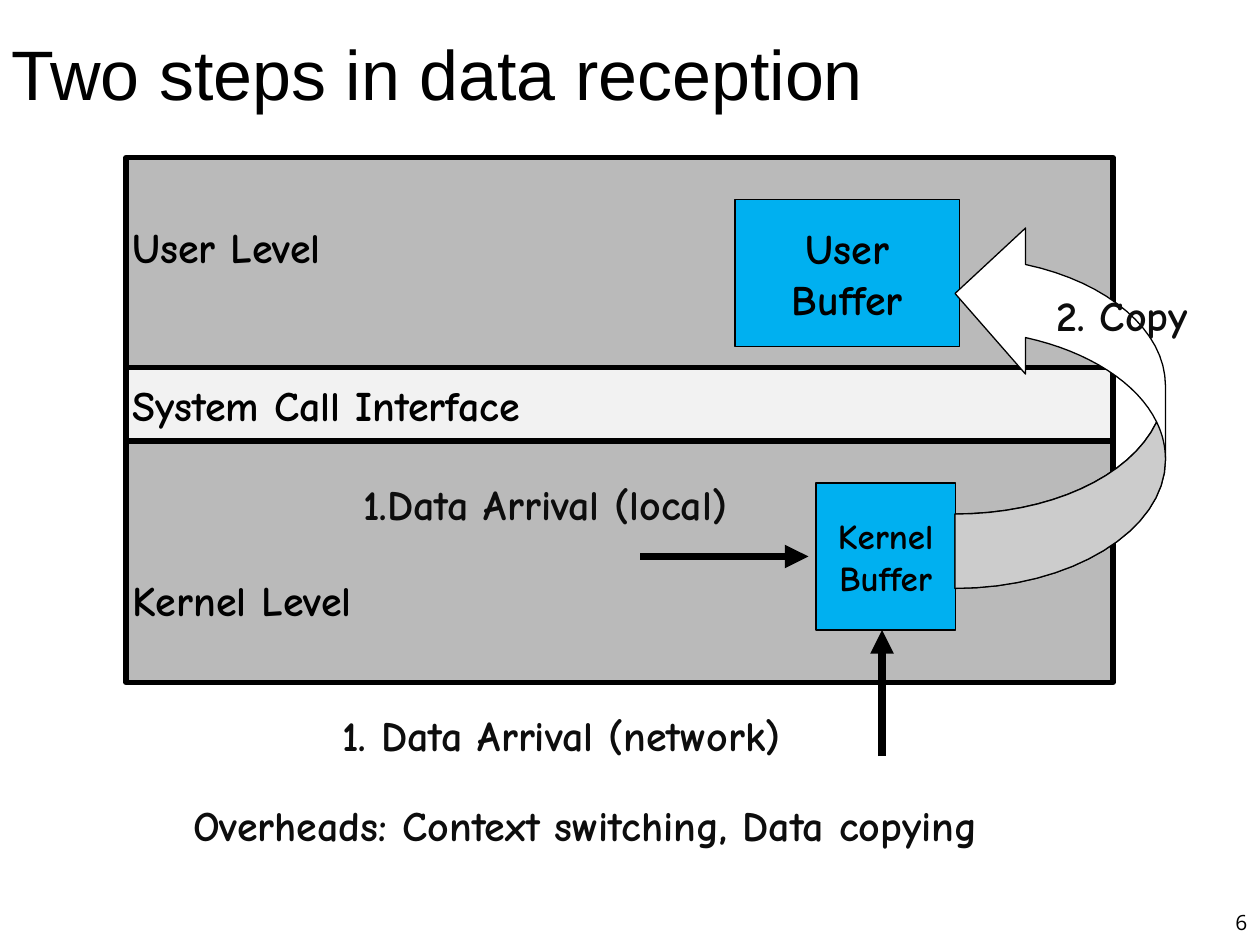
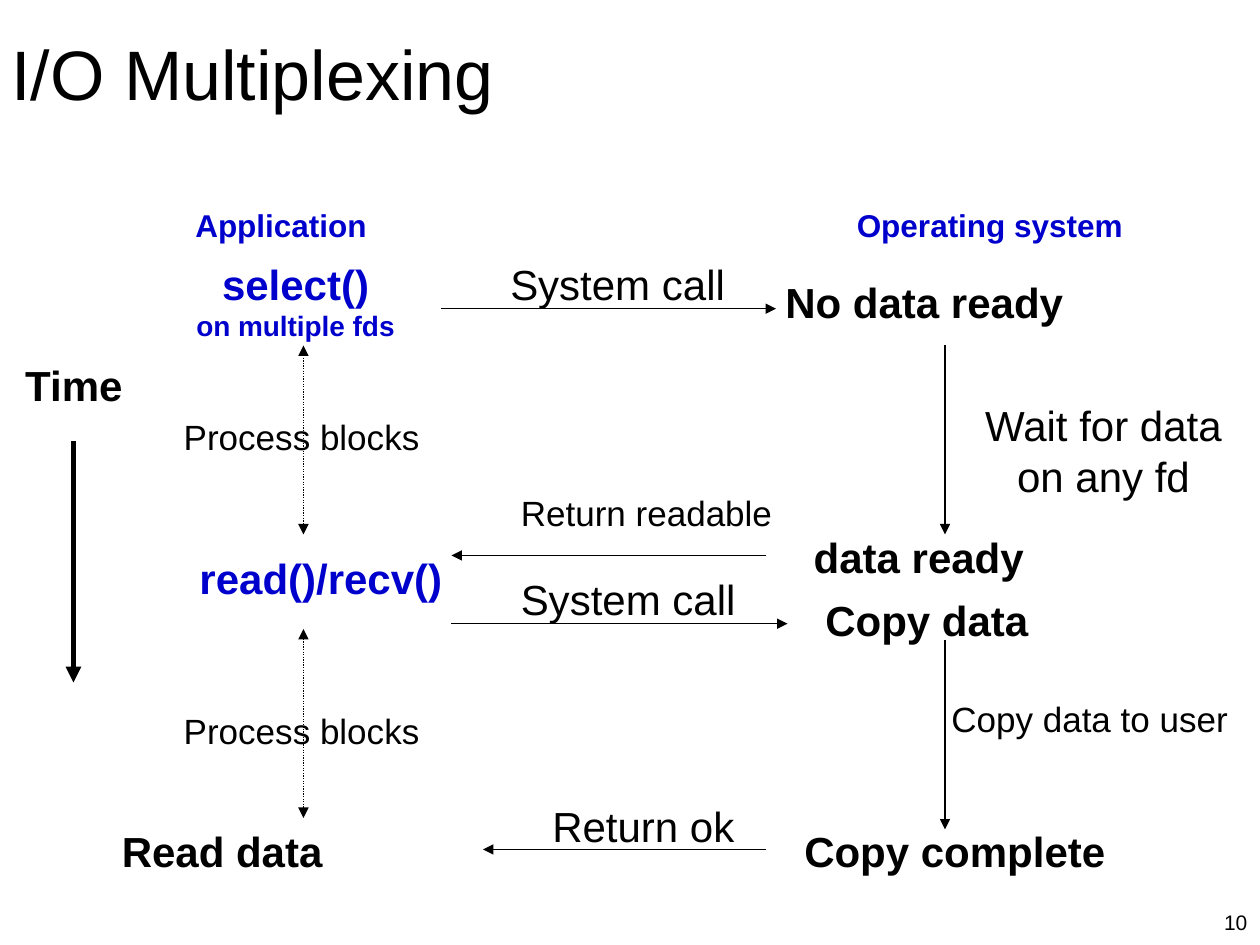
from lxml import etree
from pptx import Presentation, util as u
from pptx.dml.color import RGBColor
from pptx.enum import dml, shapes, text
from pptx.oxml.ns import qn

# ---- Shared style; every place is (column, row) on a grid of 120 x 90 units ----
COLUMNS, ROWS = 120, 90
WIDTH, HEIGHT = u.Inches(10), u.Inches(7.5)
UNIT = WIDTH / COLUMNS
COLORS = {"black": "000000", "ink": "0D0D0D", "blue": "0000CC", "level": "BABABA",
          "band": "F2F2F2", "buffer": "00B0F0", "white": "FFFFFF", "tail": "CCCCCC"}
SANS, COMIC, NUMBER_FONT = "Arial", "Comic Neue", "Open Sans"
LEFT, CENTER, RIGHT = text.PP_ALIGN.LEFT, text.PP_ALIGN.CENTER, text.PP_ALIGN.RIGHT
TOP, MIDDLE, BOTTOM = (text.MSO_ANCHOR.TOP, text.MSO_ANCHOR.MIDDLE,
                       text.MSO_ANCHOR.BOTTOM)

# ---- Content: data reception ----
# box: place, fill, line width, lines of text, size, alignment
RECEPTION_BOXES = [
    ((12, 15, 94, 50), "level", 3, [], 24, LEFT),
    ((12, 35, 94, 7), "band", 3, ["System Call Interface"], 24, LEFT),
    ((77.7, 46, 13.3, 14), "buffer", 0.75, ["Kernel", "Buffer"], 20, CENTER),
    ((70, 19, 21.4, 14), "buffer", 0.75, ["User", "Buffer"], 24, CENTER),
]
# label: text, column, row, width, colour
RECEPTION_LABELS = [
    ("User Level", 12, 20.5, 25.3, "black"),
    ("Kernel Level", 12, 54.1, 25.3, "black"),
    ("2. Copy", 100, 27, 16.2, "ink"),
    ("1. Data Arrival (network)", 32, 67, 51.5, "ink"),
    ("1.Data Arrival (local)", 34, 45, 43.1, "ink"),
    ("Overheads: Context switching, Data copying", 17.8, 75.6, 88.3, "ink"),
]
# arrow: start, end, line width, two-headed
RECEPTION_ARROWS = [((84, 72), (84, 60), 4.5, False),
                    ((61, 53), (77, 53), 4.5, False)]

# Copy arrow in inches: a pair is a corner, three pairs are a Bezier curve
COPY_START = (7.58, 4.67)
OUTER_CURVE = ((8.5, 4.67), (9.25, 4.21), (9.25, 3.65))
FOLD_CURVE = ((9.25, 3.55), (9.23, 3.45), (9.18, 3.35))
INNER_CURVE = ((8.97, 3.79), (8.32, 4.08), (7.58, 4.08))
COPY_ARROW = [OUTER_CURVE, (9.25, 3.06), ((9.25, 2.63), (8.8, 2.24), (8.14, 2.1)),
              (8.14, 1.81), (7.58, 2.33), (8.14, 2.97), (8.14, 2.68),
              ((8.64, 2.79), (9.03, 3.04), (9.18, 3.35)), INNER_CURVE]
COPY_TAIL = [OUTER_CURVE, FOLD_CURVE, INNER_CURVE]

# ---- Content: multiplexing ----
# label: lines of (text, size), column, row, width, colour, bold
MULTIPLEXING_LABELS = [
    ([("select()", 24), ("on multiple fds", 16)], 18, 24, 20.3, "blue", True),
    ([("No data ready", 24)], 74.2, 25.7, 27.8, "black", True),
    ([("data ready", 24)], 76.9, 50, 21.4, "black", True),
    ([("Copy data", 24)], 78, 56, 20.8, "black", True),
    ([("Copy complete", 24)], 76, 78, 30, "black", True),
    ([("Read data", 24)], 11, 78, 20.5, "black", True),
    ([("System call", 24)], 48, 24, 21.8, "black", False),
    ([("Application", 18)], 18, 19, 17.6, "blue", True),
    ([("Operating system", 18)], 81, 19, 26.8, "blue", True),
    ([("Wait for data", 24), ("on any fd", 24)], 92.6, 37.5, 25, "black", False),
    ([("Copy data to user", 20)], 90, 65.8, 27.7, "black", False),
    ([("Return ok", 24)], 52, 75.6, 18.7, "black", False),
    ([("Process blocks", 20)], 16.9, 39, 23.8, "black", False),
    ([("Process blocks", 20)], 16.9, 67, 23.8, "black", False),
    ([("Return readable", 20)], 49, 46.2, 25.3, "black", False),
    ([("read()/recv()", 24)], 18.4, 52, 24.5, "blue", True),
    ([("System call", 24)], 49, 54, 21.8, "black", False),
    ([("Time", 24)], 1.8, 33.6, 10.7, "black", True),
]
MULTIPLEXING_ARROWS = [
    ((42, 29.4), (73.9, 29.4), 0.75, False),
    ((90, 32.9), (90, 50.9), 0.75, False),
    ((90, 61), (90, 79), 0.75, False),
    ((73, 80.9), (46, 80.9), 0.75, False),
    ((28.9, 32.9), (28.9, 50.9), 0.75, True),
    ((73, 52.9), (43, 52.9), 0.75, False),
    ((28.9, 59.9), (28.9, 77.9), 0.75, True),
    ((43, 59.4), (75, 59.4), 0.75, False),
    ((7, 42), (7, 65), 3, False),
]


# ---- Helpers ----
def grid(*units):
    return [round(n * UNIT) for n in units]


def color(name):
    return RGBColor.from_string(COLORS[name])


def write(shape, lines, font, ink="black", bold=False, align=LEFT, anchor=TOP, wrap=False):
    """Fill a shape with lines of (text, size)."""
    frame = shape.text_frame
    frame.word_wrap, frame.vertical_anchor = wrap, anchor
    frame.margin_left = frame.margin_right = u.Inches(0.05)
    frame.margin_top = frame.margin_bottom = u.Inches(0.05)
    for i, (words, size) in enumerate(lines):
        paragraph = frame.add_paragraph() if i else frame.paragraphs[0]
        paragraph.alignment = align
        run = paragraph.add_run()
        run.text = words
        run.font.name, run.font.size, run.font.bold = font, u.Pt(size), bold
        run.font.color.rgb = color(ink)


def add_label(slide, place, lines, font, **style):
    write(slide.shapes.add_textbox(*grid(*place)), lines, font, **style)


def paint(shape, fill, line_width):
    shape.shadow.inherit = False
    shape.fill.solid()
    shape.fill.fore_color.rgb = color(fill)
    if line_width:
        shape.line.color.rgb = color("black")
        shape.line.width = u.Pt(line_width)
    else:
        shape.line.fill.background()


def add_arrow(slide, start, end, width, two_headed):
    arrow = slide.shapes.add_connector(shapes.MSO_CONNECTOR.STRAIGHT,
                                       *grid(*start, *end))
    arrow.line.color.rgb = color("black")
    arrow.line.width = u.Pt(width)
    if two_headed:
        arrow.line.dash_style = dml.MSO_LINE.ROUND_DOT
    line = arrow.line._get_or_add_ln()
    for tag in (["a:headEnd"] if two_headed else []) + ["a:tailEnd"]:
        etree.SubElement(line, qn(tag), type="triangle")
    etree.SubElement(arrow._element.spPr, qn("a:effectLst"))


def trace(start, steps, samples=16):
    """Turn corners and Bezier curves into a list of points."""
    points = [start]
    for step in steps:
        if len(step) == 2:
            points.append(step)
            continue
        controls = (points[-1], *step)
        for i in range(1, samples + 1):
            t = i / samples
            weights = ((1 - t) ** 3, 3 * t * (1 - t) ** 2, 3 * t * t * (1 - t), t ** 3)
            points.append(tuple(sum(w * c[axis] for w, c in zip(weights, controls))
                                for axis in (0, 1)))
    return [(u.Inches(x), u.Inches(y)) for x, y in points]


def add_outline(slide, steps, fill, line_width):
    first, *rest = trace(COPY_START, steps)
    builder = slide.shapes.build_freeform(*first, scale=1.0)
    builder.add_line_segments(rest, close=True)
    paint(builder.convert_to_shape(), fill, line_width)


def start_slide(deck, title, number, number_font):
    slide = deck.slides.add_slide(deck.slide_layouts[6])
    add_label(slide, (0.5, 0, 118.9, 11.5), [(title, 40)], SANS,
              anchor=BOTTOM, wrap=True)
    add_label(slide, (114.8, 86, 4.6, 3.6), [(number, 12)], number_font,
              align=RIGHT, anchor=MIDDLE, wrap=True)
    return slide


deck = Presentation()
deck.slide_width, deck.slide_height = WIDTH, HEIGHT

# ---- Data reception ----
reception = start_slide(deck, "Two steps in data reception", "6", NUMBER_FONT)
for place, fill, line_width, lines, size, align in RECEPTION_BOXES:
    box = reception.shapes.add_shape(shapes.MSO_SHAPE.RECTANGLE, *grid(*place))
    paint(box, fill, line_width)
    if lines:
        write(box, [(words, size) for words in lines], COMIC, bold=True,
              align=align, anchor=MIDDLE)
for arrow in RECEPTION_ARROWS:
    add_arrow(reception, *arrow)
add_outline(reception, COPY_ARROW, "white", 0.75)
add_outline(reception, COPY_TAIL, "tail", 0.75)
for words, column, row, width, ink in RECEPTION_LABELS:
    add_label(reception, (column, row, width, 6), [(words, 24)], COMIC,
              ink=ink, bold=True)

# ---- Multiplexing ----
multiplexing = start_slide(deck, "I/O Multiplexing", "10", SANS)
for arrow in MULTIPLEXING_ARROWS:
    add_arrow(multiplexing, *arrow)
for lines, column, row, width, ink, bold in MULTIPLEXING_LABELS:
    height = 1.2 + sum(size for _, size in lines) * 0.19
    add_label(multiplexing, (column, row, width, height), lines, SANS, ink=ink,
              bold=bold, align=CENTER if len(lines) > 1 else LEFT)

deck.save("out.pptx")
